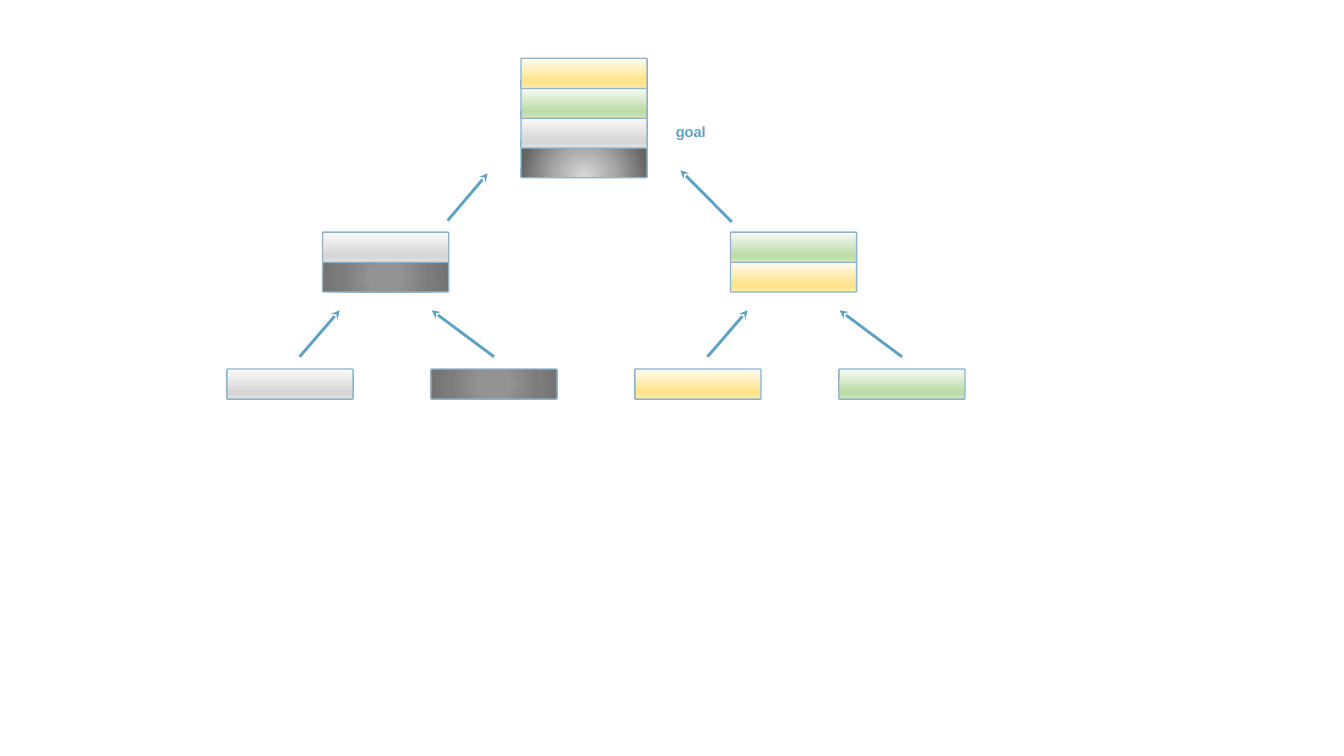
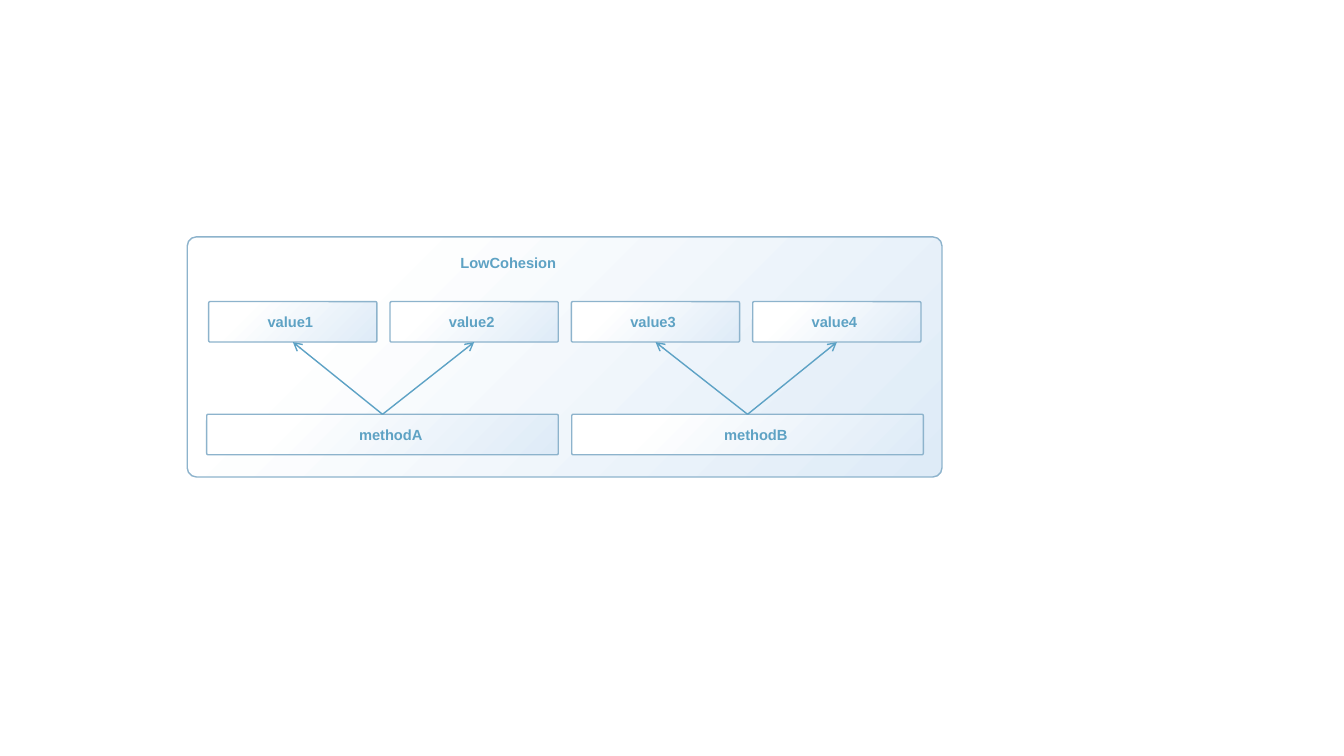
from lxml import etree
from pptx import Presentation
from pptx.dml.color import RGBColor
from pptx.enum.shapes import MSO_CONNECTOR, MSO_SHAPE
from pptx.enum.text import MSO_ANCHOR, MSO_AUTO_SIZE, PP_ALIGN
from pptx.oxml import parse_xml
from pptx.oxml.ns import nsdecls, qn
from pptx.util import Cm, Pt

COLORS = {"border": "8DB3CC", "arrow": "5DA2C5", "text": "5EA2C4"}
FONT = "Arial"

DOWN = '<a:lin ang="5400000" scaled="0"/>'
DIAGONAL = '<a:lin ang="2700000" scaled="0"/>'
RADIAL = '<a:path path="circle"><a:fillToRect l="50000" t="{}" r="50000" b="{}"/></a:path>'
CENTRE = RADIAL.format(50000, 50000)
BELOW = RADIAL.format(130000, -30000)

# name: (stops as percent and colour, direction)
GRADIENTS = {
    "grey": ([(0, "FAFAFA"), (74, "D7D7D7"), (83, "D7D7D7"), (100, "E4E4E4")], DOWN),
    "green": ([(0, "F8FBF6"), (74, "BEDCAA"), (83, "BEDCAA"), (100, "D4E8C6")], DOWN),
    "yellow": ([(0, "FFFCF2"), (74, "FFE38C"), (83, "FFE38C"), (100, "FFECB2")], DOWN),
    "dark": ([(0, "939393"), (23, "939393"), (69, "7C7C7C"), (97, "747474")], CENTRE),
    "glow": ([(0, "DBDBDB"), (46, "AAAAAA"), (100, "636363")], BELOW),
    "sky": ([(0, "FFFFFF"), (21, "FFFFFF"), (100, "DEEBF7")], DIAGONAL),
}

BLOCK_W, BLOCK_H, BLOCK_STEP = 3.18, 0.76, 0.75
LEAF_STEP = 5.14


def add_box(shapes, left, top, width, height, gradient):
    box = shapes.add_shape(MSO_SHAPE.ROUNDED_RECTANGLE, Cm(left), Cm(top), Cm(width), Cm(height))
    box.adjustments[0] = 0.038
    stops, direction = GRADIENTS[gradient]
    stop_xml = "".join(
        f'<a:gs pos="{pos * 1000}"><a:srgbClr val="{color}"/></a:gs>' for pos, color in stops)
    box._element.spPr.find(qn("a:prstGeom")).addnext(parse_xml(
        f'<a:gradFill {nsdecls("a")} rotWithShape="1"><a:gsLst>{stop_xml}</a:gsLst>'
        f'{direction}</a:gradFill>'))
    box.line.color.rgb = RGBColor.from_string(COLORS["border"])
    box.line.width = Pt(1)
    box.shadow.inherit = False
    return box


def write_label(frame, text):
    frame.word_wrap = True
    paragraph = frame.paragraphs[0]
    paragraph.alignment = PP_ALIGN.CENTER
    run = paragraph.add_run()
    run.text = text
    run.font.name = FONT
    run.font.size = Pt(10.5)
    run.font.bold = True
    run.font.color.rgb = RGBColor.from_string(COLORS["text"])


def add_caption(shapes, left, top, width, text):
    caption = shapes.add_textbox(Cm(left), Cm(top), Cm(width), Cm(0.71))
    write_label(caption.text_frame, text)
    caption.text_frame.auto_size = MSO_AUTO_SIZE.SHAPE_TO_FIT_TEXT


def add_arrow(shapes, start, end, width, tip):
    arrow = shapes.add_connector(MSO_CONNECTOR.STRAIGHT, *(Cm(v) for v in (*start, *end)))
    arrow.line.color.rgb = RGBColor.from_string(COLORS["arrow"])
    arrow.line.width = Pt(width)
    etree.SubElement(arrow.line._get_or_add_ln(), qn("a:tailEnd"), type=tip)
    etree.SubElement(arrow._element.spPr, qn("a:effectLst"))
    return arrow


def add_stack(shapes, left, top, gradients):
    """Group blocks listed from top to bottom; upper blocks overlap lower ones."""
    stack = shapes.add_group_shape()
    for row, gradient in reversed(list(enumerate(gradients))):
        add_box(stack.shapes, left, top + row * BLOCK_STEP, BLOCK_W, BLOCK_H, gradient)


def add_merge(shapes, left, top, leaves, merged):
    """Two leaf blocks with arrows up to their merged pair."""
    for column, leaf in enumerate(leaves):
        add_box(shapes, left + column * LEAF_STEP, top + 3.45, BLOCK_W, BLOCK_H, leaf)
    add_stack(shapes, left + 2.41, top, merged)
    for start_x, end_x in ((1.83, 2.84), (6.73, 5.16)):
        add_arrow(shapes, (left + start_x, top + 3.14), (left + end_x, top + 1.97), 2, "stealth")


def add_merge_tree(shapes, left, top):
    add_merge(shapes, left, top + 4.38, ("grey", "dark"), ("grey", "dark"))
    add_merge(shapes, left + 2 * LEAF_STEP, top + 4.38, ("yellow", "green"), ("green", "yellow"))
    add_stack(shapes, left + 7.41, top, ("yellow", "green", "grey", "glow"))
    add_arrow(shapes, (left + 5.56, top + 4.09), (left + 6.57, top + 2.9), 2, "stealth")
    add_arrow(shapes, (left + 12.72, top + 4.12), (left + 11.43, top + 2.82), 2, "stealth")
    add_caption(shapes, left + 10.51, top + 1.5, 2.36, "goal")


def add_member(shapes, left, top, width, text, shift):
    """Class member box whose label sits shift cm right of its centre."""
    member = add_box(shapes, left, top, width, 1.02, "sky")
    frame = member.text_frame
    frame.margin_left = Cm(max(0, 2 * shift))
    frame.margin_right = Cm(max(0, -2 * shift))
    frame.vertical_anchor = MSO_ANCHOR.MIDDLE
    write_label(frame, text)
    return member


def add_class_panel(shapes, left, top, name, values, methods):
    """Class box with values above methods; each method uses two values."""
    add_box(shapes, left, top, 19.02, 6.05, "sky")
    add_caption(shapes, left + 5.84, top + 0.3, 4.5, name)
    value_boxes = [add_member(shapes, left + 0.54 + i * 4.57, top + 1.63, 4.24, value, -0.06)
                   for i, value in enumerate(values)]
    method_boxes = [add_member(shapes, left + 0.49 + i * 9.2, top + 4.47, 8.86, method, 0.21)
                    for i, method in enumerate(methods)]
    for i, value_box in enumerate(value_boxes):
        usage = add_arrow(shapes, (left, top), (left, top), 1, "arrow")
        usage.begin_connect(method_boxes[i // 2], 0)
        usage.end_connect(value_box, 2)


def main():
    deck = Presentation()
    deck.slide_width, deck.slide_height = Cm(33.87), Cm(19.05)
    blank = deck.slide_layouts[6]
    add_merge_tree(deck.slides.add_slide(blank).shapes, 5.72, 1.47)
    add_class_panel(deck.slides.add_slide(blank).shapes, 4.72, 5.97, "LowCohesion",
                    ("value1", "value2", "value3", "value4"), ("methodA", "methodB"))
    deck.save("out.pptx")


if __name__ == "__main__":
    main()
